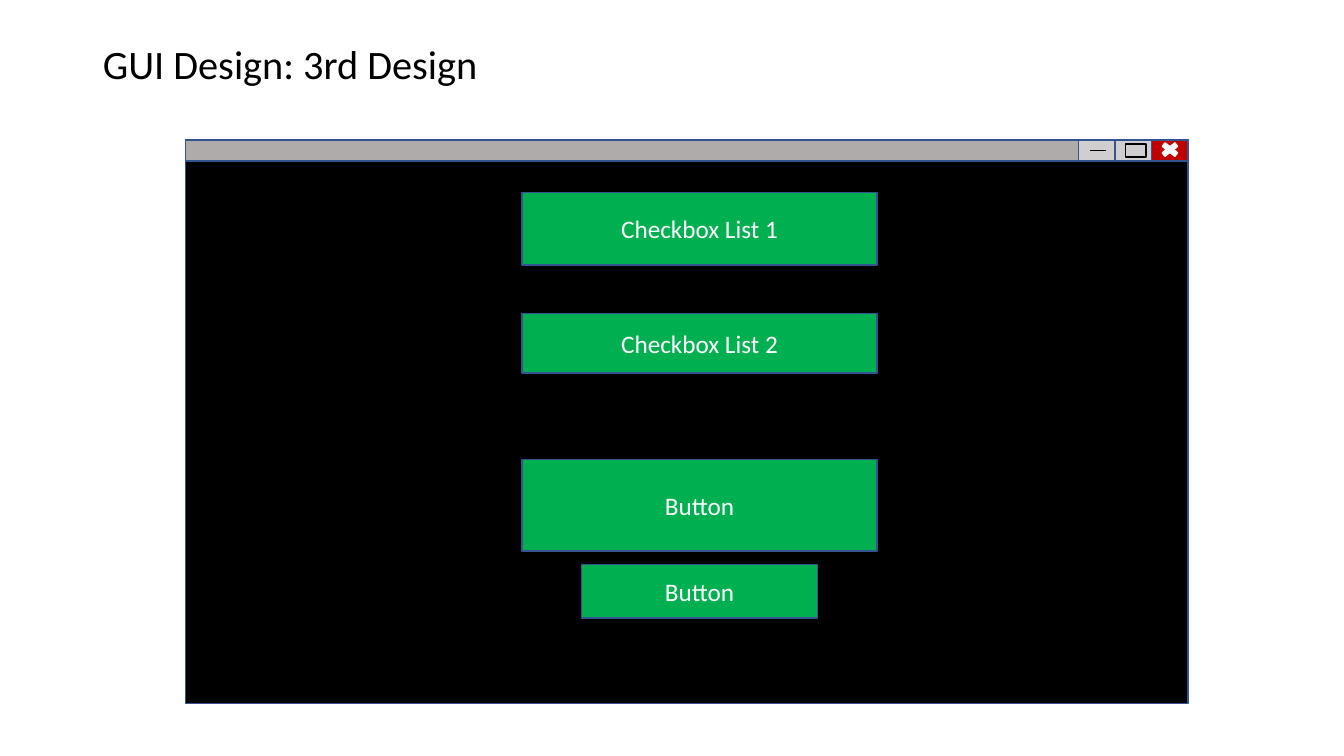
from dataclasses import dataclass

from lxml import etree
from pptx import Presentation
from pptx.dml.color import RGBColor
from pptx.enum.shapes import MSO_CONNECTOR, MSO_SHAPE
from pptx.enum.text import MSO_ANCHOR, MSO_AUTO_SIZE, PP_ALIGN
from pptx.oxml.ns import qn
from pptx.util import Cm, Pt

RECT = MSO_SHAPE.RECTANGLE
CROSS = MSO_SHAPE.MATH_MULTIPLY
STRAIGHT = MSO_CONNECTOR.STRAIGHT
MIDDLE = MSO_ANCHOR.MIDDLE
FIXED = MSO_AUTO_SIZE.NONE
LEFT, CENTER = PP_ALIGN.LEFT, PP_ALIGN.CENTER


@dataclass(frozen=True)
class Theme:
    font: str = "Calibri"
    head: float = 28.8
    body: float = 18
    black: str = "000000"
    white: str = "FFFFFF"
    edge: str = "325491"
    green: str = "00B050"
    bar: str = "AFABAB"
    gray: str = "D0CECE"
    red: str = "C00000"


T = Theme()

# Window frame and title bar, in cm
WIN_X, WIN_Y, WIN_W, WIN_H = 4.67, 3.53, 25.27, 14.2
BAR_H = 0.53
CTRL_W = 0.92

# Centre of the column of boxes, and each box as text, top, width, height
MID_X = 17.63
BOXES = [
    ("Checkbox List 1", 4.85, 8.94, 1.83),
    ("Checkbox List 2", 7.9, 8.94, 1.5),
    ("Button", 11.58, 8.94, 2.31),
    ("Button", 14.22, 5.94, 1.35),
]


def style(item, values):
    for name, value in values.items():
        setattr(item, name, value)


def write(frame, text, size, color, align):
    style(frame, {"text": text, "word_wrap": True,
                  "auto_size": FIXED, "vertical_anchor": MIDDLE})
    par = frame.paragraphs[0]
    par.alignment = align
    font = par.runs[0].font
    style(font, {"name": T.font, "size": Pt(size)})
    font.color.rgb = RGBColor.from_string(color)
    return par


def stroke(line, color, width):
    line.color.rgb = RGBColor.from_string(color)
    line.width = Pt(width)


def block(slide, box, fill, edge=T.edge, kind=RECT, text=None):
    shape = slide.shapes.add_shape(kind, *map(Cm, box))
    shape.shadow.inherit = False
    if fill:
        shape.fill.solid()
        shape.fill.fore_color.rgb = RGBColor.from_string(fill)
    else:
        shape.fill.background()
    stroke(shape.line, edge, 1)
    if text:
        write(shape.text_frame, text, T.body, T.white, CENTER)


def rule(slide, ends, color, width):
    line = slide.shapes.add_connector(STRAIGHT, *map(Cm, ends))
    stroke(line.line, color, width)
    etree.SubElement(line._element.spPr, qn("a:effectLst"))


def heading(slide, text):
    title = slide.shapes.title
    style(title, {"left": Cm(2.34), "top": Cm(1.02),
                  "width": Cm(29.21), "height": Cm(1.3)})
    par = write(title.text_frame, text, T.head, T.black, LEFT)
    par.line_spacing = 0.9


def window(slide):
    block(slide, (WIN_X, WIN_Y, WIN_W, WIN_H), T.black)
    block(slide, (WIN_X, WIN_Y, WIN_W, BAR_H), T.bar)

    # Controls run leftwards from the right edge
    for i, fill in enumerate((T.red, T.gray, T.gray), 1):
        left = WIN_X + WIN_W - i * CTRL_W
        block(slide, (left, WIN_Y, CTRL_W, BAR_H), fill)

    # Signs for minimise, maximise and close
    rule(slide, (27.48, 3.79, 27.86, 3.79), T.black, 0.5)
    block(slide, (28.37, 3.63, 0.51, 0.33), None, T.black)
    block(slide, (29.18, 3.53, 0.61, 0.48), T.white, T.white, CROSS)


def main():
    deck = Presentation()
    style(deck, {"slide_width": Cm(33.87), "slide_height": Cm(19.05)})
    slide = deck.slides.add_slide(deck.slide_layouts[5])

    heading(slide, "GUI Design: 3rd Design")
    window(slide)

    # Boxes inside the window
    for text, top, width, height in BOXES:
        box = (MID_X - width / 2, top, width, height)
        block(slide, box, T.green, text=text)

    deck.save("out.pptx")


main()
